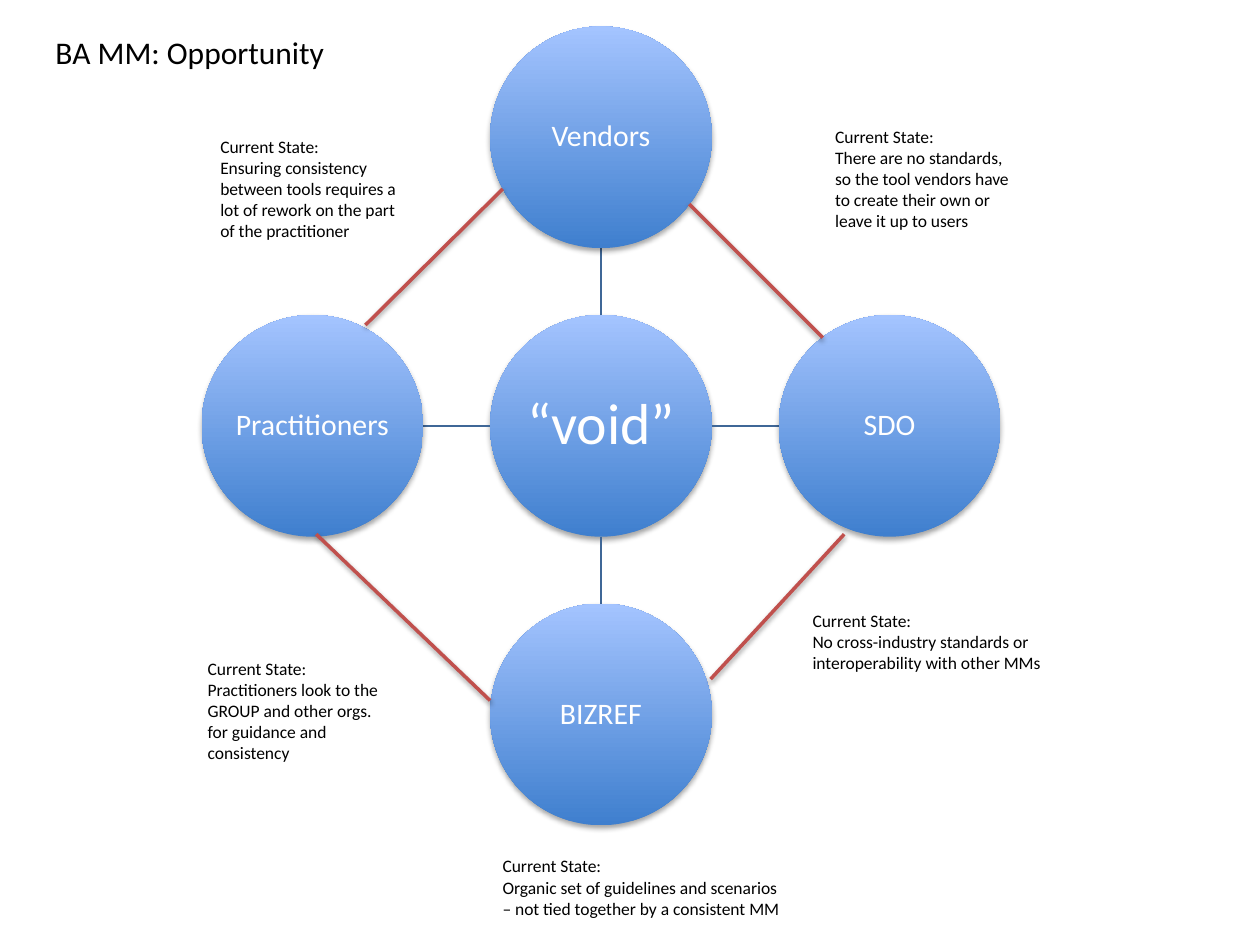
from pptx import Presentation
from pptx.dml.color import RGBColor
from pptx.enum.shapes import MSO_CONNECTOR, MSO_SHAPE
from pptx.enum.text import MSO_ANCHOR, PP_ALIGN
from pptx.oxml.ns import qn
from pptx.util import Inches, Pt
from lxml.etree import SubElement

TITLE = "BA MM: Opportunity"
HEAD = "Current State:"
FONT = "Calibri"

# Circles: text, size, column and row steps from the hub
CIRCLES = [
    ("“void”", 33, 0, 0),
    ("Vendors", 17, 0, -1),
    ("SDO", 17, 1, 0),
    ("BIZREF", 17, 0, 1),
    ("Practitioners", 17, -1, 0),
]
# Notes: text, left, top, width, height
NOTES = [
    ("Ensuring consistency between tools requires a lot of rework on the part "
     "of the practitioner", 1.65, 1.03, 1.67, 0.94),
    ("There are no standards, so the tool vendors have to create their own or "
     "leave it up to users", 6.53, 0.95, 1.67, 0.94),
    ("Practitioners look to the GROUP and other orgs. for guidance and "
     "consistency", 1.55, 5.17, 1.67, 0.77),
    ("Organic set of guidelines and scenarios – not tied together by a "
     "consistent MM", 3.89, 6.74, 2.46, 0.61),
    ("No cross-industry standards or interoperability with other MMs",
     6.35, 4.79, 2.12, 0.61),
]
# Red links between outer circles: from x, y, to x, y
LINKS = [
    (2.9, 2.58, 3.99, 1.5),
    (6.53, 2.68, 5.47, 1.62),
    (3.89, 5.56, 2.51, 4.24),
    (6.7, 4.24, 5.64, 5.39),
]
HUB_X, HUB_Y, STEP, SIZE = 4.77, 3.38, 2.29, 1.76


def color(code):
    return RGBColor.from_string(code)


def effect(shape, alpha=0, dist=0):
    """Set the shadow; with no alpha the shape has none."""
    fx = SubElement(shape._element.spPr, qn("a:effectLst"))
    if alpha:
        cast = SubElement(fx, qn("a:outerShdw"), blurRad=str(Pt(3.1)),
                          dist=str(Pt(dist)), dir="5400000", rotWithShape="0")
        tone = SubElement(cast, qn("a:srgbClr"), val="000000")
        SubElement(tone, qn("a:alpha"), val=str(alpha * 1000))


def write(para, text, size, code="000000"):
    run = para.add_run()
    run.text = text
    run.font.name, run.font.size = FONT, Pt(size)
    run.font.color.rgb = color(code)


def link(slide, ends, code, width, alpha=0, dist=0):
    line = slide.shapes.add_connector(MSO_CONNECTOR.STRAIGHT,
                                      *[Inches(v) for v in ends])
    line.line.color.rgb = color(code)
    line.line.width = Pt(width)
    effect(line, alpha, dist)


def circle(slide, text, size, col, row):
    x, y = HUB_X + col * STEP, HUB_Y + row * STEP
    disc = slide.shapes.add_shape(
        MSO_SHAPE.OVAL, Inches(x - SIZE / 2), Inches(y - SIZE / 2),
        Inches(SIZE), Inches(SIZE))
    disc.fill.gradient()
    disc.fill.gradient_angle = 90
    for stop, code in zip(disc.fill.gradient_stops, ("3F7FCE", "A4C4FF")):
        stop.color.rgb = color(code)
    disc.line.fill.background()
    effect(disc, 35, 1.8)
    frame = disc.text_frame
    frame.word_wrap = True
    frame.vertical_anchor = MSO_ANCHOR.MIDDLE
    frame.margin_left = frame.margin_right = Inches(0.01)
    frame.margin_top = frame.margin_bottom = Inches(0.01)
    para = frame.paragraphs[0]
    para.alignment, para.line_spacing = PP_ALIGN.CENTER, 0.9
    write(para, text, size, "FFFFFF")


def note(slide, text, *box):
    frame = slide.shapes.add_textbox(*[Inches(v) for v in box]).text_frame
    frame.word_wrap = True
    write(frame.paragraphs[0], HEAD, 10)
    write(frame.add_paragraph(), text, 10)


def main():
    deck = Presentation()
    deck.slide_width, deck.slide_height = Inches(10), Inches(7.5)
    slide = deck.slides.add_slide(deck.slide_layouts[5])

    # Title
    title = slide.shapes.title
    title.left, title.top = Inches(0.34), Inches(0.21)
    title.width, title.height = Inches(2.56), Inches(0.4)
    title.text_frame.vertical_anchor = MSO_ANCHOR.TOP
    para = title.text_frame.paragraphs[0]
    para.alignment = PP_ALIGN.LEFT
    write(para, TITLE, 18)

    # Hub, spokes and outer circles
    near, far = SIZE / 2, STEP - SIZE / 2
    for text, size, col, row in CIRCLES:
        if col or row:
            link(slide, (HUB_X + col * near, HUB_Y + row * near,
                         HUB_X + col * far, HUB_Y + row * far),
                 "3F6797", 0.75)
        circle(slide, text, size, col, row)

    # Red links and notes
    for ends in LINKS:
        link(slide, ends, "C0504D", 2, 38, 1.6)
    for item in NOTES:
        note(slide, *item)

    deck.save("out.pptx")


if __name__ == "__main__":
    main()
